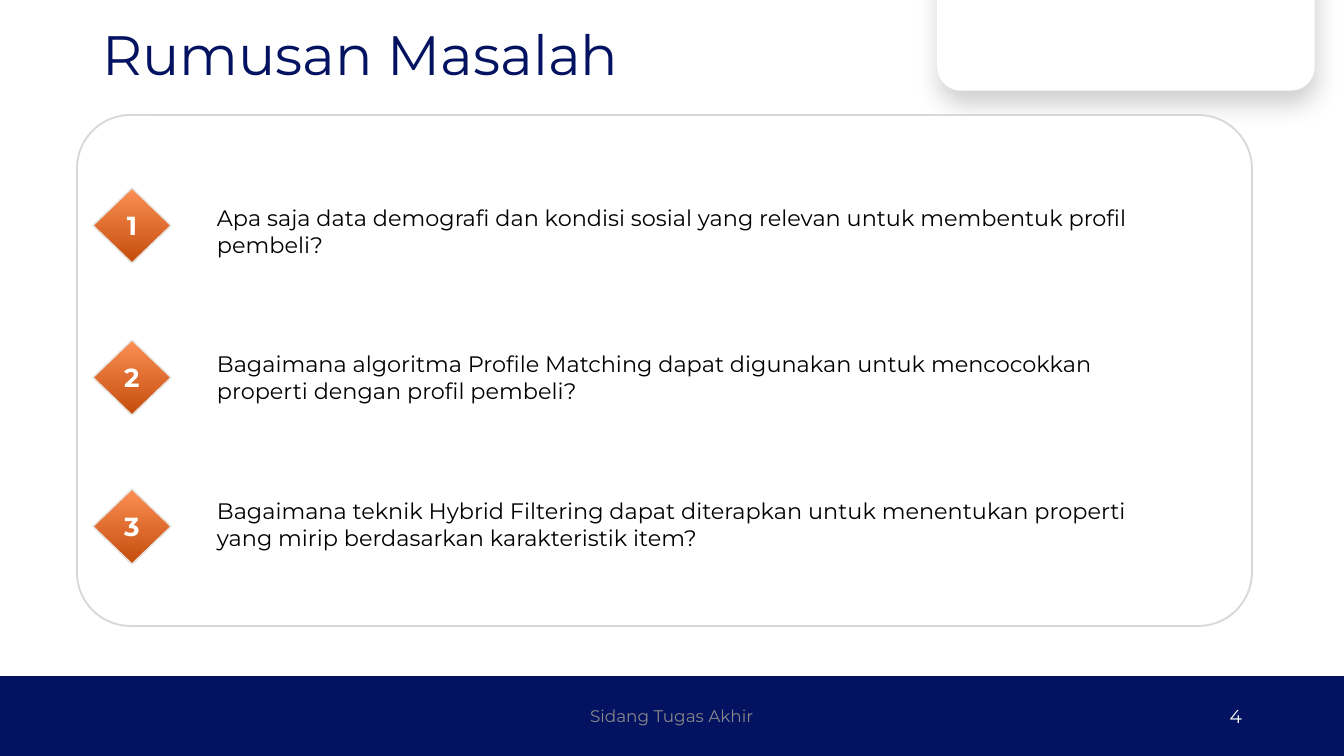
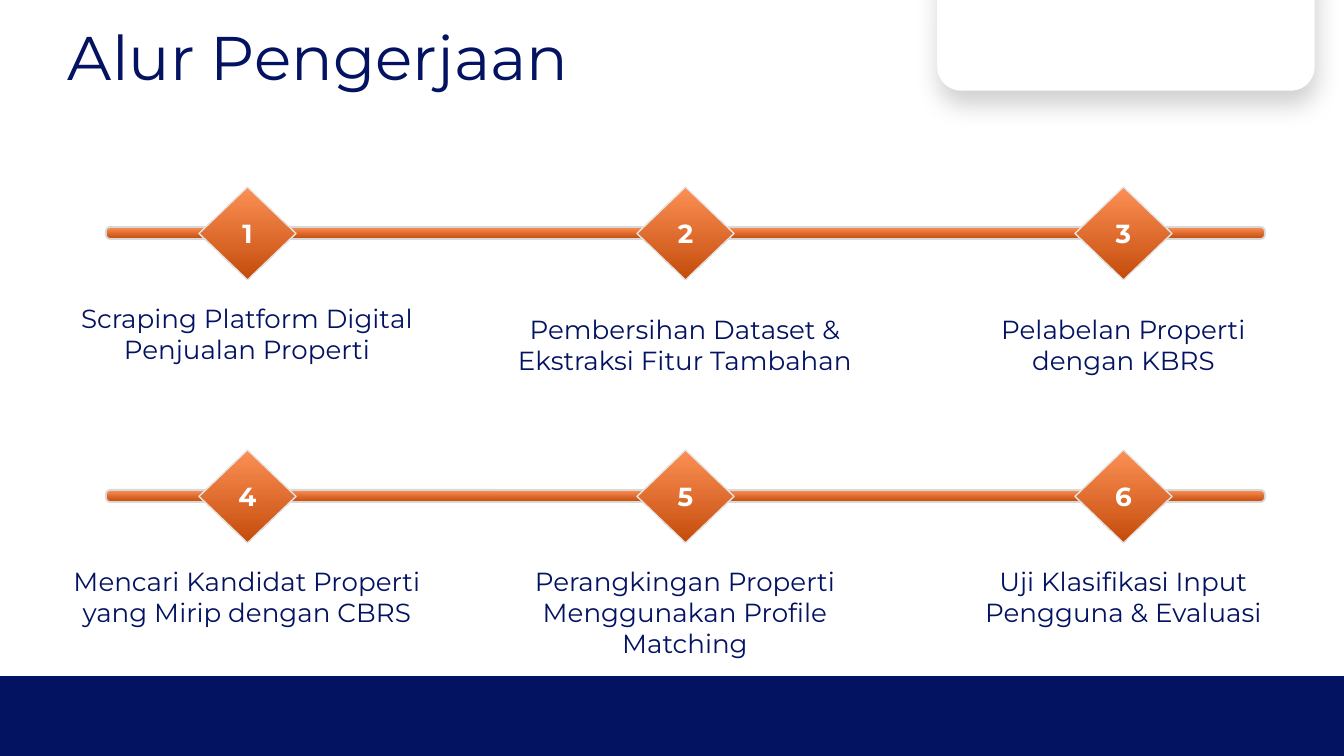
from lxml import etree
from pptx import Presentation
from pptx.dml.color import RGBColor
from pptx.enum.shapes import MSO_SHAPE
from pptx.enum.text import MSO_ANCHOR, MSO_AUTO_SIZE, PP_ALIGN
from pptx.oxml.ns import qn
from pptx.util import Emu, Pt

RECT, ROUNDED, DIAMOND = MSO_SHAPE.RECTANGLE, MSO_SHAPE.ROUNDED_RECTANGLE, MSO_SHAPE.DIAMOND
LEFT, CENTER, RIGHT = PP_ALIGN.LEFT, PP_ALIGN.CENTER, PP_ALIGN.RIGHT
TOP, MIDDLE = MSO_ANCHOR.TOP, MSO_ANCHOR.MIDDLE
NO_FIT, GROW = MSO_AUTO_SIZE.NONE, MSO_AUTO_SIZE.SHAPE_TO_FIT_TEXT

NAVY = RGBColor(0x03, 0x12, 0x61)
WHITE = RGBColor(0xFF, 0xFF, 0xFF)
BLACK = RGBColor(0x00, 0x00, 0x00)
GREY = RGBColor(0x88, 0x88, 0x88)
PANEL_EDGE = RGBColor(0xD8, 0xD8, 0xD8)
DIAMOND_EDGE = RGBColor(0xE7, 0xE6, 0xE6)
ORANGE = [RGBColor(0xFC, 0x90, 0x55), RGBColor(0xC4, 0x4C, 0x0B)]
FONT = "Montserrat"

PX_PER_INCH = 134.4
SLIDE_BOX = (0, 0, 1344, 756)
TITLE_ONLY = 5
TIGHT = (9, 5)
ROOMY = (13, 13)

QUESTIONS = [
    (73, 76, "Apa saja data demografi dan kondisi sosial yang relevan untuk membentuk profil pembeli?"),
    (225, 222, "Bagaimana algoritma Profile Matching dapat digunakan untuk mencocokkan "
               "properti dengan profil pembeli?"),
    (374, 369, "Bagaimana teknik Hybrid Filtering dapat diterapkan untuk menentukan properti "
               "yang mirip berdasarkan karakteristik item?"),
]
STAGES = [
    [(102, 90, "Scraping Platform Digital Penjualan Properti"),
     (113, 90, "Pembersihan Dataset & Ekstraksi Fitur Tambahan"),
     (113, 90, "Pelabelan Properti dengan KBRS")],
    [(102, 90, "Mencari Kandidat Properti yang Mirip dengan CBRS"),
     (102, 122, "Perangkingan Properti Menggunakan Profile Matching"),
     (102, 90, "Uji Klasifikasi Input Pengguna & Evaluasi")],
]
LABEL_WIDTHS = (388, 388, 337)


def px(length):
    """Turn px into EMU."""
    return Emu(round(length * 914400 / PX_PER_INCH))


def emu_box(box):
    """Turn a px box into EMU."""
    return [px(length) for length in box]


def write(frame, text, size, color, align=LEFT, anchor=TOP, insets=ROOMY, bold=False, fit=NO_FIT):
    """Put one formatted paragraph into a text frame."""
    frame.word_wrap = True
    frame.auto_size = fit
    frame.vertical_anchor = anchor
    frame.margin_left = frame.margin_right = px(insets[0])
    frame.margin_top = frame.margin_bottom = px(insets[1])
    paragraph = frame.paragraphs[0]
    paragraph.alignment = align
    run = paragraph.add_run()
    run.text = text
    run.font.name = FONT
    run.font.size = Pt(size)
    run.font.bold = bold
    run.font.color.rgb = color
    return paragraph


def add_text(slide, box, *args, **style):
    """Add a text box."""
    write(slide.shapes.add_textbox(*emu_box(box)).text_frame, *args, **style)


def add_block(slide, kind, box, fill, edge, width=0.75, corner=None):
    """Add a preset shape with a solid or gradient fill."""
    block = slide.shapes.add_shape(kind, *emu_box(box))
    block.shadow.inherit = False
    if isinstance(fill, list):
        block.fill.gradient()
        block.fill.gradient_angle = 270
        for stop, color in zip(block.fill.gradient_stops, fill):
            stop.color.rgb = color
    else:
        block.fill.solid()
        block.fill.fore_color.rgb = fill
    block.line.color.rgb = edge
    block.line.width = Pt(width)
    if corner is not None:
        block.adjustments[0] = corner
    return block


def add_soft_shadow(block):
    """Give a shape a soft shadow below it."""
    effects = block.element.spPr.find(qn("a:effectLst"))
    shadow = etree.SubElement(effects, qn("a:outerShdw"), blurRad=str(int(Pt(13.5))),
                              dist=str(int(Pt(7.5))), dir=str(84 * 60000), algn="t",
                              rotWithShape="0")
    color = etree.SubElement(shadow, qn("a:srgbClr"), val=str(BLACK))
    etree.SubElement(color, qn("a:alpha"), val="19000")


def add_number(slide, box, number):
    """Add a numbered orange diamond."""
    diamond = add_block(slide, DIAMOND, box, ORANGE, DIAMOND_EDGE)
    write(diamond.text_frame, str(number), 14, WHITE, CENTER, MIDDLE, (0, 13), bold=True)


def add_base(prs, title, title_box, title_size):
    """Add a slide with the bottom band, the corner card and a title."""
    slide = prs.slides.add_slide(prs.slide_layouts[TITLE_ONLY])
    add_block(slide, RECT, (-38, 677, 1426, 108), NAVY, NAVY)
    add_soft_shadow(add_block(slide, ROUNDED, (938, -46, 376, 136), WHITE, WHITE, corner=0.17))
    heading = slide.shapes.title
    heading.left, heading.top, heading.width, heading.height = emu_box(title_box)
    paragraph = write(heading.text_frame, title, title_size, NAVY, anchor=MIDDLE, insets=TIGHT)
    paragraph.line_spacing = 0.9
    return slide


def add_footer(slide, box, caption, page):
    """Place the caption and page number in the bottom band."""
    left, top, _, height = box
    add_text(slide, (left + 949, top, 302, height), page, 10, WHITE, RIGHT, MIDDLE, TIGHT)
    add_text(slide, (left + 406, top, 531, height), caption, 9, GREY, CENTER, MIDDLE, TIGHT)


def add_questions(slide, box):
    """Place the numbered research questions in a rounded panel."""
    left, top, _, _ = box
    add_block(slide, ROUNDED, box, WHITE, PANEL_EDGE, 1, 0.105)
    for number, (diamond_top, question_top, question) in enumerate(QUESTIONS, 1):
        add_number(slide, (left + 16, top + diamond_top, 78, 75), number)
        add_text(slide, (left + 127, top + question_top, 961, 70), question, 12, BLACK)


def add_timeline(slide, box, stages, first_number):
    """Place a row of numbered stages on an orange track."""
    left, top, width, height = box
    track_height = 12
    track = (left, top + (height - track_height) // 2, width, track_height)
    add_block(slide, ROUNDED, track, ORANGE, PANEL_EDGE, 1, 0.36)
    for column, (label_top, label_height, label) in enumerate(stages):
        center = left + 141 + column * 438
        add_number(slide, (center - 48, top, 97, height), first_number + column)
        label_width = LABEL_WIDTHS[column]
        label_box = (center - label_width // 2, top + label_top, label_width, label_height)
        add_text(slide, label_box, label, 14, NAVY, CENTER, fit=GROW)


def build_problem_slide(prs):
    """Build the slide of research questions."""
    slide = add_base(prs, "Rumusan Masalah", (93, 23, 1159, 70), 29.7)
    add_questions(slide, (77, 115, 1175, 511))
    add_footer(slide, (0, 696, 1344, 40), "Sidang Tugas Akhir", "4")


def build_workflow_slide(prs):
    """Build the slide of work stages."""
    slide = add_base(prs, "Alur Pengerjaan", (59, -12, 1159, 146), 33)
    for row, stages in enumerate(STAGES):
        add_timeline(slide, (106, 187 + row * 263, 1159, 93), stages, row * len(stages) + 1)


def main():
    """Build and save the presentation."""
    prs = Presentation()
    prs.slide_width, prs.slide_height = emu_box(SLIDE_BOX[2:])
    build_problem_slide(prs)
    build_workflow_slide(prs)
    prs.save("out.pptx")


if __name__ == "__main__":
    main()
